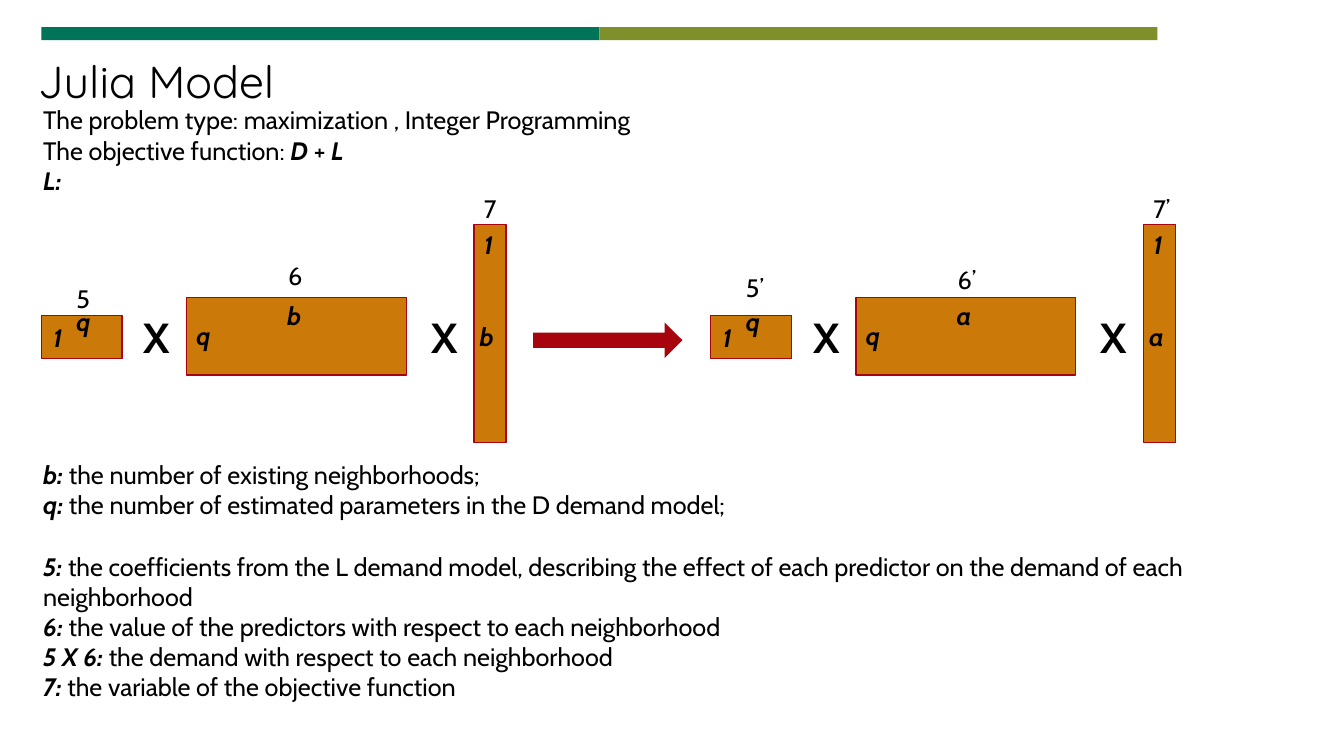
from lxml import etree
from pptx import Presentation
from pptx import util as u
from pptx.dml.color import RGBColor
from pptx.enum import shapes, text
from pptx.oxml import ns

COLORS = {
    "teal": "007459",
    "olive": "7F902A",
    "orange": "CB7A09",
    "dark_red": "A7040E",
    "red": "E20613",
    "black": "000000",
}
BODY_FONT = "Cabin"
TITLE_FONT = "Quicksand"
BODY_SIZE = 18
PLAIN, BOLD, BOLD_ITALIC = (False, False), (True, False), (True, True)

INTRODUCTION = [
    [("The problem type: maximization , Integer Programming", PLAIN)],
    [("The objective function: ", PLAIN), ("D ", BOLD_ITALIC),
     ("+", PLAIN), (" L", BOLD_ITALIC)],
    [("L:", BOLD_ITALIC)],
]
DEFINITIONS = [
    ("b: ", "the number of existing neighborhoods;"),
    ("q: ", "the number of estimated parameters in the D demand model;"),
    ("5: ", "the coefficients from the L demand model, describing the effect "
            "of each predictor on the demand of each neighborhood"),
    ("6: ", "the value of the predictors with respect to each neighborhood"),
    ("5 X 6: ", "the demand with respect to each neighborhood"),
    ("7: ", "the variable of the objective function"),
]


def add_text(slide, box, lines, size=BODY_SIZE, font=BODY_FONT):
    shape = slide.shapes.add_textbox(*map(u.Inches, box))
    frame = shape.text_frame
    frame.word_wrap = True
    for index, line in enumerate(lines):
        paragraph = frame.add_paragraph() if index else frame.paragraphs[0]
        for words, (bold, italic) in line:
            run = paragraph.add_run()
            run.text = words
            run.font.name = font
            run.font.size = u.Pt(size)
            run.font.bold = bold
            run.font.italic = italic
            run.font.color.rgb = RGBColor.from_string(COLORS["black"])
    return frame


def add_block(slide, kind, box, fill, line=None, line_width=1):
    shape = slide.shapes.add_shape(kind, *map(u.Inches, box))
    shape.shadow.inherit = False
    shape.fill.solid()
    shape.fill.fore_color.rgb = RGBColor.from_string(COLORS[fill])
    if line:
        shape.line.color.rgb = RGBColor.from_string(COLORS[line])
        shape.line.width = u.Pt(line_width)
    else:
        shape.line.fill.background()
    return shape


def add_header(slide, left, top, width):
    half = width / 2
    for index, color in enumerate(("teal", "olive")):
        add_block(slide, shapes.MSO_SHAPE.RECTANGLE,
                  (left + index * half, top, half, 0.13), color)
    frame = add_text(slide, (left - 0.13, top - 0.16, 11.5, 1.45),
                     [[("Julia Model", PLAIN)]], 32, TITLE_FONT)
    frame.vertical_anchor = text.MSO_ANCHOR.MIDDLE
    frame.paragraphs[0].line_spacing = 0.9


def add_matrix(slide, box, name, rows, columns):
    left, top = box[:2]
    add_block(slide, shapes.MSO_SHAPE.RECTANGLE, box, "orange", "dark_red")
    for (words, across, down), style in (
            (name, PLAIN), (rows, BOLD_ITALIC), (columns, BOLD_ITALIC)):
        add_text(slide, (left + across, top + down, 0.44, 0.4),
                 [[(words, style)]])


def add_product(slide, left, top, neighborhoods, prime="", label_drops=(0, 0)):
    coefficient_drop, predictor_drop = label_drops
    add_matrix(slide, (left, top + 0.9, 0.8, 0.43),
               ("5" + prime, 0.25, -0.37 + coefficient_drop),
               ("1", 0.02, 0.02), ("q", 0.25, -0.14))
    add_matrix(slide, (left + 1.44, top + 0.72, 2.18, 0.77),
               ("6" + prime, 0.91, -0.42 + predictor_drop),
               ("q", 0, 0.18), (neighborhoods, 0.9, -0.02))
    add_matrix(slide, (left + 4.29, top, 0.32, 2.16),
               ("7" + prime, 0, -0.36),
               (neighborhoods, -0.04, 0.91), ("1", 0, 0))
    for across in (0.92, 3.77):
        add_text(slide, (left + across, top + 0.81, 0.43, 0.61),
                 [[("X", BOLD)]], 30)


def add_arrow(slide, box):
    arrow = add_block(slide, shapes.MSO_SHAPE.RIGHT_ARROW, box,
                      "red", "dark_red", 9)
    outline = arrow.line.fill._xPr
    etree.SubElement(outline, ns.qn("a:miter"), lim="800000")


def add_definitions(slide, box):
    lines = [[(term, BOLD_ITALIC), (meaning, PLAIN)]
             for term, meaning in DEFINITIONS]
    frame = add_text(slide, box, lines)
    frame.paragraphs[2].space_before = u.Pt(22)


def main():
    presentation = Presentation()
    presentation.slide_width = u.Inches(13.33)
    presentation.slide_height = u.Inches(7.5)
    slide = presentation.slides.add_slide(presentation.slide_layouts[6])
    add_header(slide, 0.41, 0.27, 11.07)
    add_text(slide, (0.33, 0.99, 6.4, 1.31), INTRODUCTION)
    add_product(slide, 0.41, 2.23, "b")
    add_arrow(slide, (5.35, 3.35, 1.33, 0.05))
    add_product(slide, 7.05, 2.23, "a", "’", (-0.11, 0.04))
    add_definitions(slide, (0.33, 4.51, 12.77, 2.22))
    presentation.save("out.pptx")


if __name__ == "__main__":
    main()
